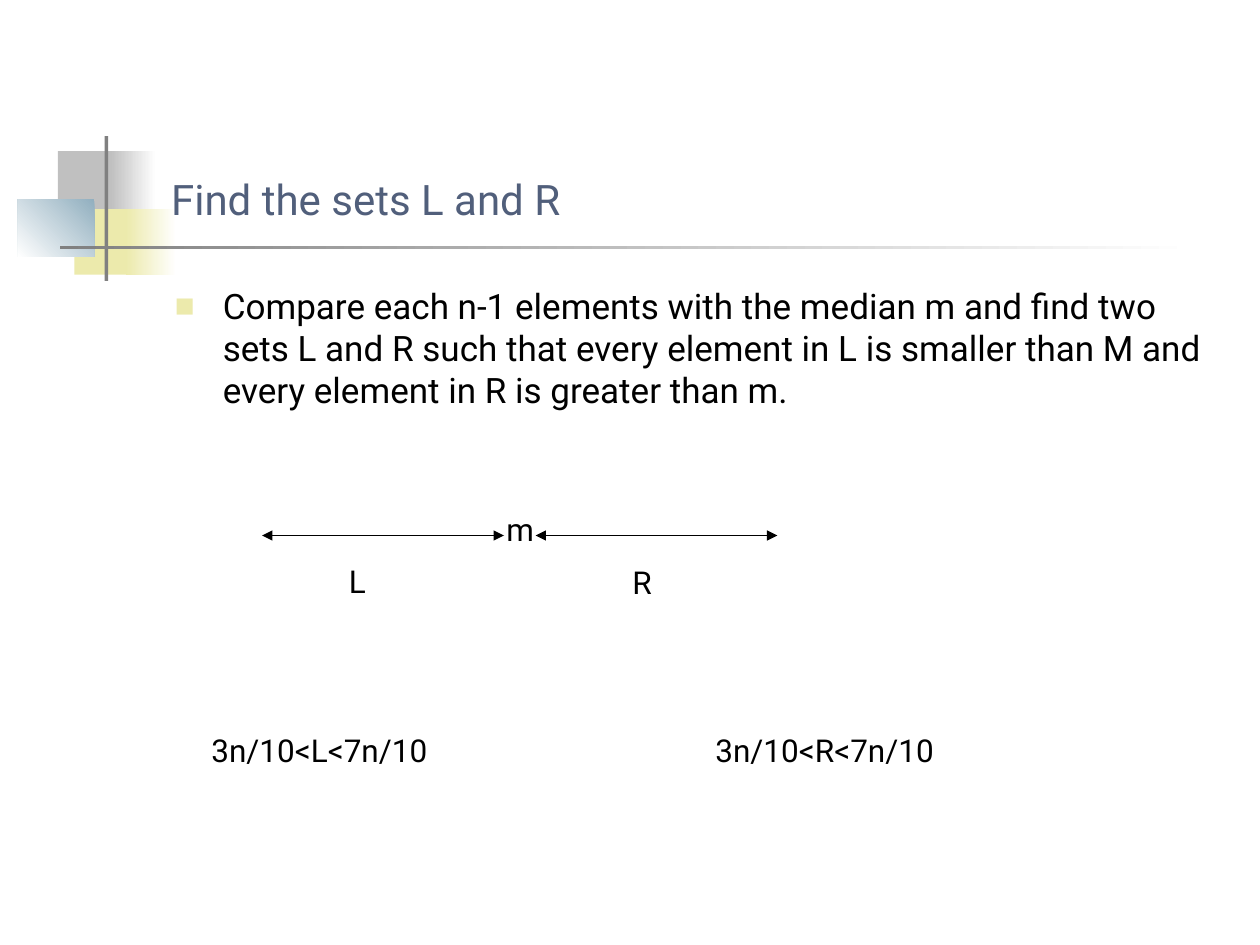
from dataclasses import dataclass

from lxml.etree import SubElement
from pptx import Presentation
from pptx.dml.color import RGBColor
from pptx.enum.shapes import MSO_CONNECTOR, MSO_SHAPE
from pptx.enum.text import MSO_ANCHOR
from pptx.oxml.ns import qn
from pptx.util import Inches, Pt


@dataclass(frozen=True)
class Theme:
    font: str = "Roboto"
    title_size: int = 24
    body_size: int = 20
    label_size: int = 18
    line_width: float = 0.75
    title: str = "515F7B"
    ink: str = "000000"
    white: str = "FFFFFF"
    silver: str = "C0C0C0"
    yellow: str = "ECEAAC"
    blue: str = "91AFBF"
    rule: str = "808080"


class SlideBuilder:
    def __init__(self, slide, theme):
        self.slide = slide
        self.theme = theme

    def block(self, left, top, width, height, *colors, angle=180):
        """Draw a rectangle: one color is solid, two make a gradient."""
        block = self.slide.shapes.add_shape(
            MSO_SHAPE.RECTANGLE, Inches(left), Inches(top), Inches(width), Inches(height))
        block.shadow.inherit = False
        block.line.fill.background()
        if len(colors) == 1:
            block.fill.solid()
            block.fill.fore_color.rgb = RGBColor.from_string(colors[0])
        else:
            block.fill.gradient()
            block.fill.gradient_angle = angle
            for stop, color in zip(block.fill.gradient_stops, colors):
                stop.color.rgb = RGBColor.from_string(color)

    def text(self, content, left, top, width, height=0.4, *, size=None,
             color=None, anchor=MSO_ANCHOR.TOP, bullet=None):
        box = self.slide.shapes.add_textbox(
            Inches(left), Inches(top), Inches(width), Inches(height))
        frame = box.text_frame
        frame.word_wrap = True
        frame.vertical_anchor = anchor
        paragraph = frame.paragraphs[0]
        if bullet:
            self.bullet(paragraph, bullet)
        run = paragraph.add_run()
        run.text = content
        run.font.name = self.theme.font
        run.font.size = Pt(size or self.theme.label_size)
        run.font.color.rgb = RGBColor.from_string(color or self.theme.ink)

    def bullet(self, paragraph, color, indent=0.38):
        props = paragraph._p.get_or_add_pPr()
        props.set("marL", str(Inches(indent)))
        props.set("indent", str(-Inches(indent)))
        SubElement(SubElement(props, qn("a:buClr")), qn("a:srgbClr"), val=color)
        SubElement(props, qn("a:buSzPct"), val="60000")
        SubElement(props, qn("a:buFont"), typeface=self.theme.font)
        SubElement(props, qn("a:buChar"), char="■")

    def double_arrow(self, left, right, y):
        arrow = self.slide.shapes.add_connector(
            MSO_CONNECTOR.STRAIGHT, Inches(left), Inches(y), Inches(right), Inches(y))
        arrow.line.color.rgb = RGBColor.from_string(self.theme.ink)
        arrow.line.width = Pt(self.theme.line_width)
        outline = arrow.line._get_or_add_ln()
        for end in ("a:headEnd", "a:tailEnd"):
            SubElement(outline, qn(end), type="triangle")
        SubElement(arrow._element.spPr, qn("a:effectLst"))


def main():
    theme = Theme()
    deck = Presentation()
    deck.slide_width, deck.slide_height = Inches(10), Inches(7.5)
    builder = SlideBuilder(deck.slides.add_slide(deck.slide_layouts[6]), theme)

    # Corner ornament and title rule
    builder.block(0.46, 1.2, 0.48, 0.52, theme.silver)
    builder.block(0.88, 1.2, 0.36, 0.52, theme.white, theme.silver)
    builder.block(0.59, 1.66, 0.46, 0.52, theme.yellow)
    builder.block(1, 1.66, 0.4, 0.52, theme.white, theme.yellow)
    builder.block(0.14, 1.58, 0.61, 0.46, theme.blue, theme.white, angle=225)
    builder.block(0.83, 1.08, 0.03, 1.15, theme.rule)
    builder.block(0.48, 1.95, 9, 0.03, theme.white, theme.rule)

    # Title and statement
    builder.text("Find the sets L and R", 1.26, 0.23, 8.52, 1.6,
                 size=theme.title_size, color=theme.title, anchor=MSO_ANCHOR.BOTTOM)
    builder.text("Compare each n-1 elements with the median m and find two sets "
                 "L and R such that every element in L is smaller than M and "
                 "every element in R is greater than m.",
                 1.29, 2.21, 8.5, 1.21, size=theme.body_size, bullet=theme.yellow)

    # Sets on either side of the median
    for left in (2.08, 4.25):
        builder.double_arrow(left, left + 1.92, 4.25)
    builder.text("m", 3.92, 4, 0.42)
    builder.text("L", 2.67, 4.41, 0.42)
    builder.text("R", 4.92, 4.42, 0.5)

    # Size bounds
    for name, left in (("L", 1.58), ("R", 5.58)):
        builder.text(f"3n/10<{name}<7n/10", left, 5.75, 3)

    deck.save("out.pptx")


if __name__ == "__main__":
    main()
